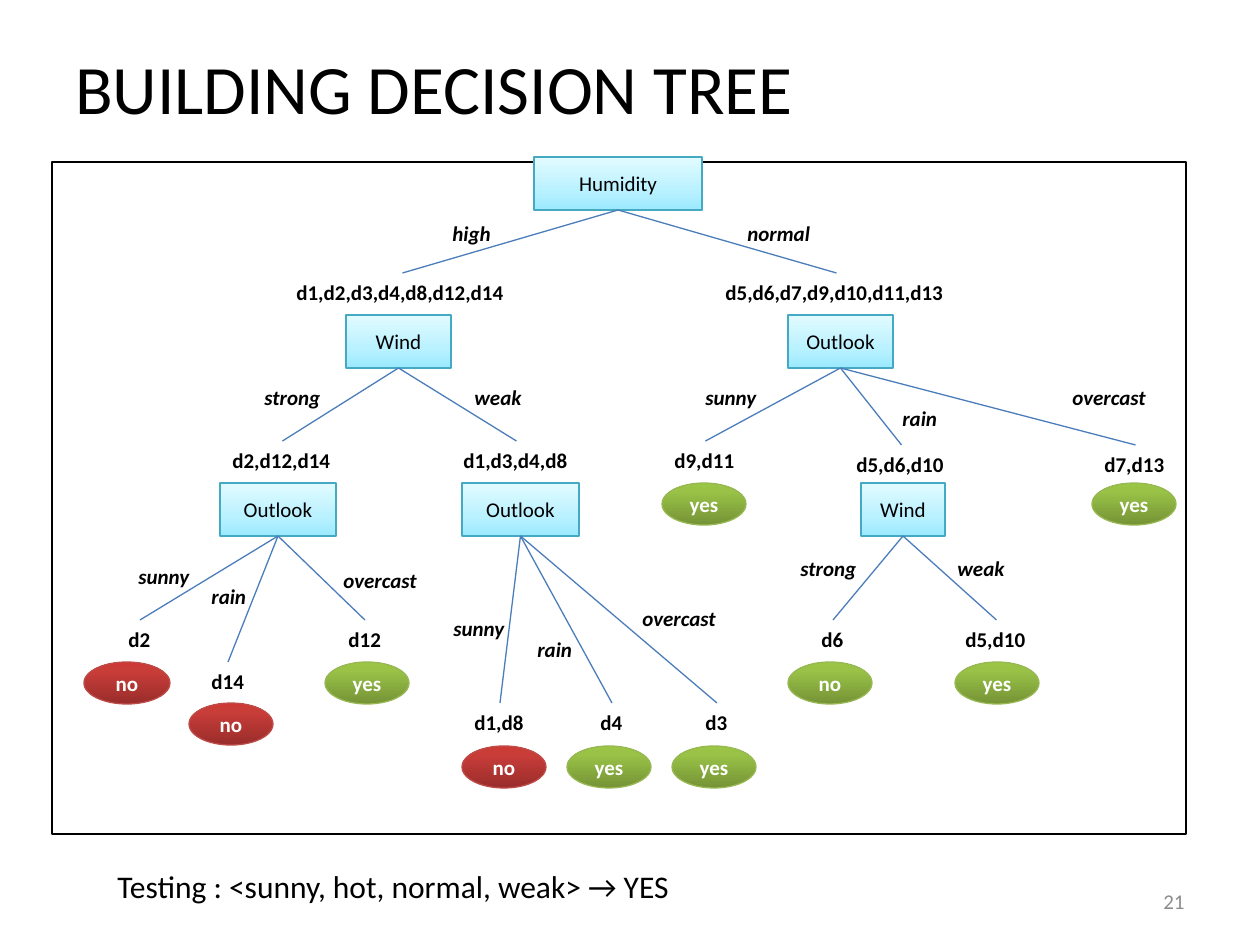
from dataclasses import dataclass

from lxml.etree import SubElement
from pptx import Presentation
from pptx.dml.color import RGBColor
from pptx.enum.shapes import MSO_CONNECTOR as CONNECTOR, MSO_SHAPE as SHAPE
from pptx.enum.text import MSO_ANCHOR as ANCHOR, PP_ALIGN as ALIGN
from pptx.oxml.ns import qn
from pptx.util import Pt

EMU_PER_PX = 914400 / 126
LABEL_HEIGHT, DECISION_HEIGHT, LEAF_HEIGHT = 38, 53, 42
TOP, BOTTOM = 0, 2
EDGE_COLOR = "4A7DBA"
LABEL_WIDTHS = {"high": 64, "normal": 89, "strong": 82, "weak": 73,
                "sunny": 77, "rain": 60, "overcast": 100}


@dataclass
class Style:
    preset: int
    height: int
    line: str
    stops: tuple
    font: dict


DECISION = Style(SHAPE.RECTANGLE, DECISION_HEIGHT, "45A9C4",
                 ((0, "9BE9FF"), (35, "B8F1FF"), (100, "E2FBFF")), {})
LEAF_FONT = {"bold": True, "color": "FFFFFF"}
GREEN = Style(SHAPE.OVAL, LEAF_HEIGHT, "97B853",
              ((0, "759336"), (80, "99C247"), (100, "9BC545")), LEAF_FONT)
RED = Style(SHAPE.OVAL, LEAF_HEIGHT, "BD4B48",
            ((0, "992D2B"), (80, "C93D39"), (100, "CD3A36")), LEAF_FONT)


@dataclass
class Branch:
    value: tuple       # text, left, top
    examples: tuple    # text, left, top, width
    node: tuple        # text, left, top, width
    style: Style
    children: tuple = ()


# Subtrees, from the lower levels up
HIGH_STRONG = (
    Branch(("sunny", 126, 557), ("d2", 116, 620, 48), ("no", 84, 662, 86), RED),
    Branch(("rain", 199, 577), ("d14", 199, 662, 58), ("no", 189, 703, 84), RED),
    Branch(("overcast", 331, 561), ("d12", 336, 620, 58), ("yes", 325, 662, 84), GREEN),
)
HIGH_WEAK = (
    Branch(("sunny", 441, 609), ("d1,d8", 462, 703, 76), ("no", 462, 746, 84), RED),
    Branch(("rain", 525, 630), ("d4", 588, 703, 48), ("yes", 567, 746, 84), GREEN),
    Branch(("overcast", 630, 599), ("d3", 693, 703, 48), ("yes", 672, 746, 84), GREEN),
)
NORMAL_RAIN = (
    Branch(("strong", 788, 549), ("d6", 809, 620, 48), ("no", 788, 662, 84), GREEN),
    Branch(("weak", 945, 549), ("d5,d10", 953, 620, 87), ("yes", 955, 662, 84), GREEN),
)
HIGH = (
    Branch(("strong", 252, 378), ("d2,d12,d14", 220, 441, 125),
           ("Outlook", 220, 483, 116), DECISION, HIGH_STRONG),
    Branch(("weak", 462, 378), ("d1,d3,d4,d8", 451, 441, 131),
           ("Outlook", 462, 483, 117), DECISION, HIGH_WEAK),
)
NORMAL = (
    Branch(("sunny", 693, 378), ("d9,d11", 662, 441, 87), ("yes", 662, 483, 84), GREEN),
    Branch(("rain", 890, 399), ("d5,d6,d10", 844, 445, 115),
           ("Wind", 861, 483, 84), DECISION, NORMAL_RAIN),
    Branch(("overcast", 1060, 378), ("d7,d13", 1092, 445, 87), ("yes", 1092, 483, 84), GREEN),
)
TREE = (
    Branch(("high", 440, 214), ("d1,d2,d3,d4,d8,d12,d14", 284, 273, 237),
           ("Wind", 346, 315, 105), DECISION, HIGH),
    Branch(("normal", 735, 214), ("d5,d6,d7,d9,d10,d11,d13", 713, 273, 247),
           ("Outlook", 788, 315, 105), DECISION, NORMAL),
)


def px(*lengths):
    return [round(length * EMU_PER_PX) for length in lengths]


def rgb(color):
    return RGBColor.from_string(color)


def write_text(shape, text, size=12, color="000000", align=ALIGN.LEFT,
               anchor=ANCHOR.TOP, wrap=True, **font_format):
    frame = shape.text_frame
    frame.word_wrap = wrap
    frame.vertical_anchor = anchor
    paragraph = frame.paragraphs[0]
    paragraph.alignment = align
    run = paragraph.add_run()
    run.text = text
    run.font.color.rgb = rgb(color)
    for name, value in {"name": "Calibri", "size": Pt(size), **font_format}.items():
        setattr(run.font, name, value)


def add_text(slide, text, left, top, width, height=LABEL_HEIGHT, **text_format):
    box = slide.shapes.add_textbox(*px(left, top, width, height))
    write_text(box, text, **text_format)
    return box


def add_outlined(slide, preset, bounds, line_color, line_width):
    shape = slide.shapes.add_shape(preset, *px(*bounds))
    shape.shadow.inherit = False
    shape.line.color.rgb = rgb(line_color)
    shape.line.width = Pt(line_width)
    return shape


def fill_gradient(shape, stops):
    shape.fill.gradient()
    shape.fill.gradient_angle = 90
    stop_list = next(shape.element.spPr.iter(qn("a:gsLst")))
    for stop in list(stop_list):
        stop_list.remove(stop)
    for percent, color in stops:
        stop = SubElement(stop_list, qn("a:gs"), pos=str(percent * 1000))
        SubElement(stop, qn("a:srgbClr"), val=color)


def add_node(slide, text, left, top, width, style):
    shape = add_outlined(slide, style.preset, (left, top, width, style.height),
                         style.line, 0.75)
    fill_gradient(shape, style.stops)
    write_text(shape, text, align=ALIGN.CENTER, anchor=ANCHOR.MIDDLE, wrap=False,
               **style.font)
    return shape


def add_edge(slide, parent, child):
    edge = slide.shapes.add_connector(CONNECTOR.STRAIGHT, 0, 0, 0, 0)
    edge.begin_connect(parent, BOTTOM)
    edge.end_connect(child, TOP)
    edge.line.color.rgb = rgb(EDGE_COLOR)
    edge.line.width = Pt(0.75)
    SubElement(edge.element.spPr, qn("a:effectLst"))


def add_branches(slide, parent, branches):
    for branch in branches:
        examples = add_text(slide, *branch.examples, wrap=False, bold=True)
        add_edge(slide, parent, examples)
        add_text(slide, *branch.value, LABEL_WIDTHS[branch.value[0]],
                 wrap=False, bold=True, italic=True)
        node = add_node(slide, *branch.node, branch.style)
        add_branches(slide, node, branch.children)


def main():
    presentation = Presentation()
    presentation.slide_width, presentation.slide_height = px(1260, 945)
    slide = presentation.slides.add_slide(presentation.slide_layouts[6])

    # Title and frame
    add_text(slide, "BUILDING DECISION TREE", 63, 38, 1134, 98,
             size=39.6, anchor=ANCHOR.MIDDLE)
    frame = add_outlined(slide, SHAPE.RECTANGLE, (52, 162, 1134, 672), "000000", 1.5)
    frame.fill.solid()
    frame.fill.fore_color.rgb = rgb("FFFFFF")

    # Decision tree
    root = add_node(slide, "Humidity", 534, 157, 168, DECISION)
    add_branches(slide, root, TREE)

    # Test case and slide number
    add_text(slide, "Testing : <sunny, hot, normal, weak> → YES",
             105, 861, 809, 89, size=18)
    add_text(slide, "21", 903, 876, 294, 50, color="8C8C8C",
             align=ALIGN.RIGHT, anchor=ANCHOR.MIDDLE)

    presentation.save("out.pptx")


if __name__ == "__main__":
    main()
